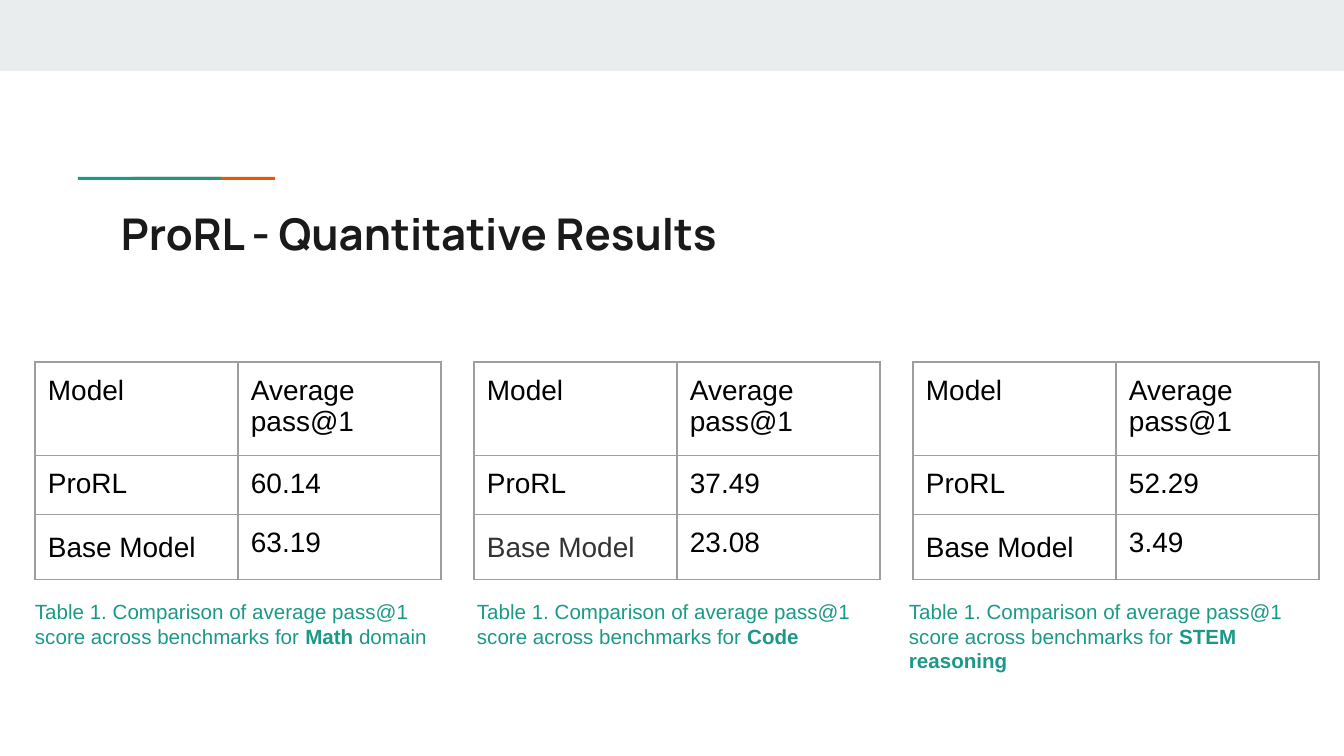
from lxml import etree
from pptx import Presentation
from pptx import util as u
from pptx.dml import color
from pptx.enum import shapes
from pptx.oxml import ns

EMU_PER_PX = 914400 / 134.4
COLORS = {
    "band": "E9EDEE",
    "teal": "1A9988",
    "orange": "EB5600",
    "title": "1A1A1A",
    "body": "000000",
    "muted": "333333",
    "border": "9E9E9E",
}
FORMATS = {
    "title": {"name": "Manrope", "size": u.Pt(23.4), "bold": True},
    "cell": {"name": "Arial", "size": u.Pt(15), "bold": False},
    "caption": {"name": "Arial", "size": u.Pt(11), "bold": False},
    "strong": {"name": "Arial", "size": u.Pt(11), "bold": True},
}
INSET = 13
SIDES = ("margin_left", "margin_top", "margin_right", "margin_bottom")


def px(length):
    return u.Emu(round(length * EMU_PER_PX))


def rgb(name):
    return color.RGBColor.from_string(COLORS[name])


class SlideBuilder:
    def __init__(self, deck):
        self.slide = deck.slides.add_slide(deck.slide_layouts[6])

    def bar(self, left, top, width, height, fill):
        bar = self.slide.shapes.add_shape(
            shapes.MSO_SHAPE.RECTANGLE, *map(px, (left, top, width, height)))
        bar.shadow.inherit = False
        bar.fill.solid()
        bar.fill.fore_color.rgb = rgb(fill)
        bar.line.fill.background()

    def run(self, paragraph, wording, style, ink):
        run = paragraph.add_run()
        run.text = wording
        for key, value in FORMATS[style].items():
            setattr(run.font, key, value)
        run.font.color.rgb = rgb(ink)

    def text(self, left, top, width, height, runs, ink):
        frame = self.slide.shapes.add_textbox(
            *map(px, (left, top, width, height))).text_frame
        frame.word_wrap = True
        for side in SIDES:
            setattr(frame, side, px(INSET))
        for wording, style in runs:
            self.run(frame.paragraphs[0], wording, style, ink)

    def border(self, cell):
        properties = cell._tc.get_or_add_tcPr()
        for tag in ("a:lnL", "a:lnR", "a:lnT", "a:lnB"):
            line = etree.SubElement(properties, ns.qn(tag), w=str(u.Pt(0.75)))
            fill = etree.SubElement(line, ns.qn("a:solidFill"))
            etree.SubElement(fill, ns.qn("a:srgbClr"), val=COLORS["border"])

    def table(self, left, top, column_width, row_height, rows, base_ink):
        size = len(rows), len(rows[0])
        table = self.slide.shapes.add_table(
            *size, px(left), px(top),
            px(column_width * size[1]), px(row_height * size[0])).table
        table.first_row = table.horz_banding = False
        for r, row in enumerate(rows):
            for c, wording in enumerate(row):
                cell = table.cell(r, c)
                self.border(cell)
                cell.fill.background()
                for side in SIDES:
                    setattr(cell, side, px(INSET))
                is_base = wording == "Base Model"
                paragraph = cell.text_frame.paragraphs[0]
                if is_base:
                    paragraph.line_spacing = 1.15
                    paragraph.space_after = u.Pt(12)
                self.run(paragraph, wording, "cell", base_ink if is_base else "body")


def main():
    deck = Presentation()
    deck.slide_width, deck.slide_height = px(1344), px(756)
    builder = SlideBuilder(deck)

    builder.bar(0, 0, 1344, 71, "band")
    builder.bar(133, 177, 142, 3, "orange")
    builder.bar(78, 177, 143, 3, "teal")
    builder.text(108, 194, 1130, 79, [("ProRL - Quantitative Results", "title")], "title")

    lead = "Table 1. Comparison of average pass@1 score across benchmarks for "
    domains = [
        ("60.14", "63.19", "body", 22, 421, [("Math ", "strong"), ("domain", "caption")]),
        ("37.49", "23.08", "muted", 464, 427, [("Code", "strong")]),
        ("52.29", "3.49", "body", 896, 427, [("STEM reasoning", "strong")]),
    ]
    for i, (prorl, base, base_ink, left, width, domain) in enumerate(domains):
        rows = [("Model", "Average pass@1"), ("ProRL", prorl), ("Base Model", base)]
        builder.table(35 + 439 * i, 362, 203, 57, rows, base_ink)
        builder.text(left, 586, width, 79, [(lead, "caption"), *domain], "teal")

    deck.save("out.pptx")


if __name__ == "__main__":
    main()
